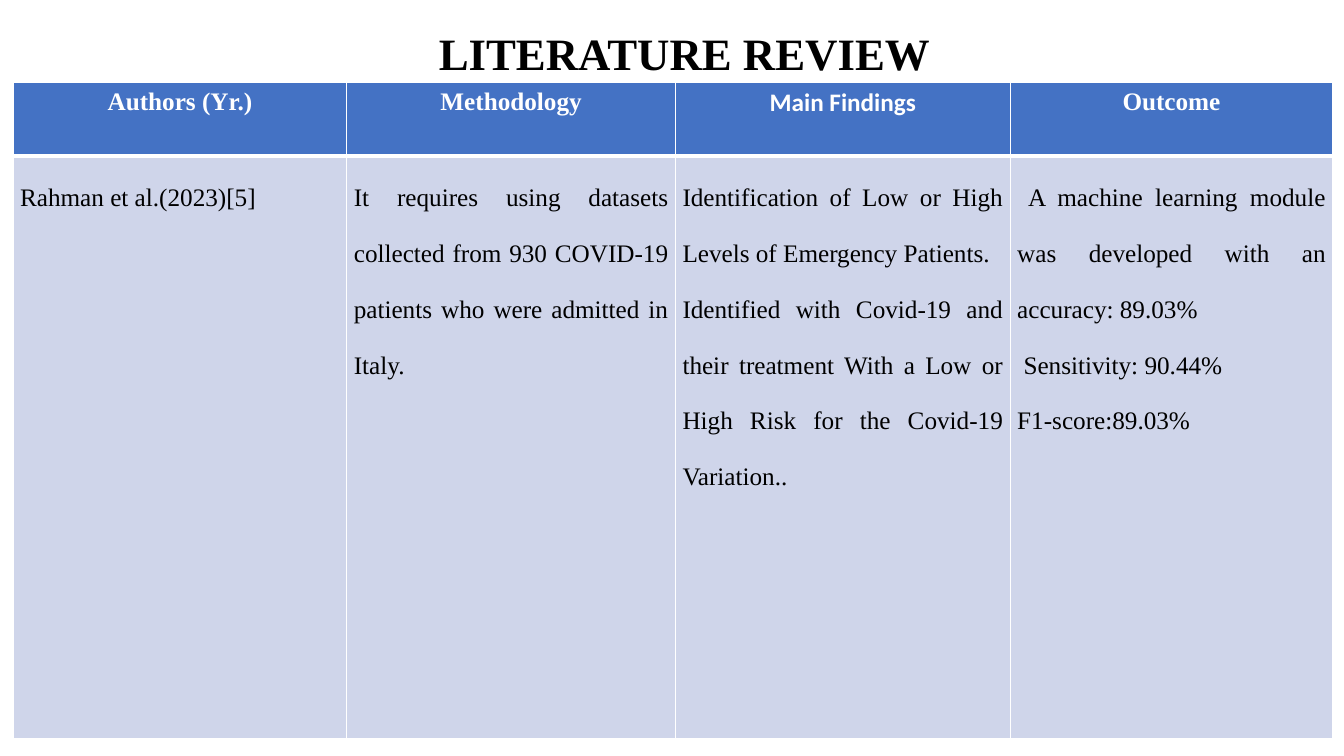
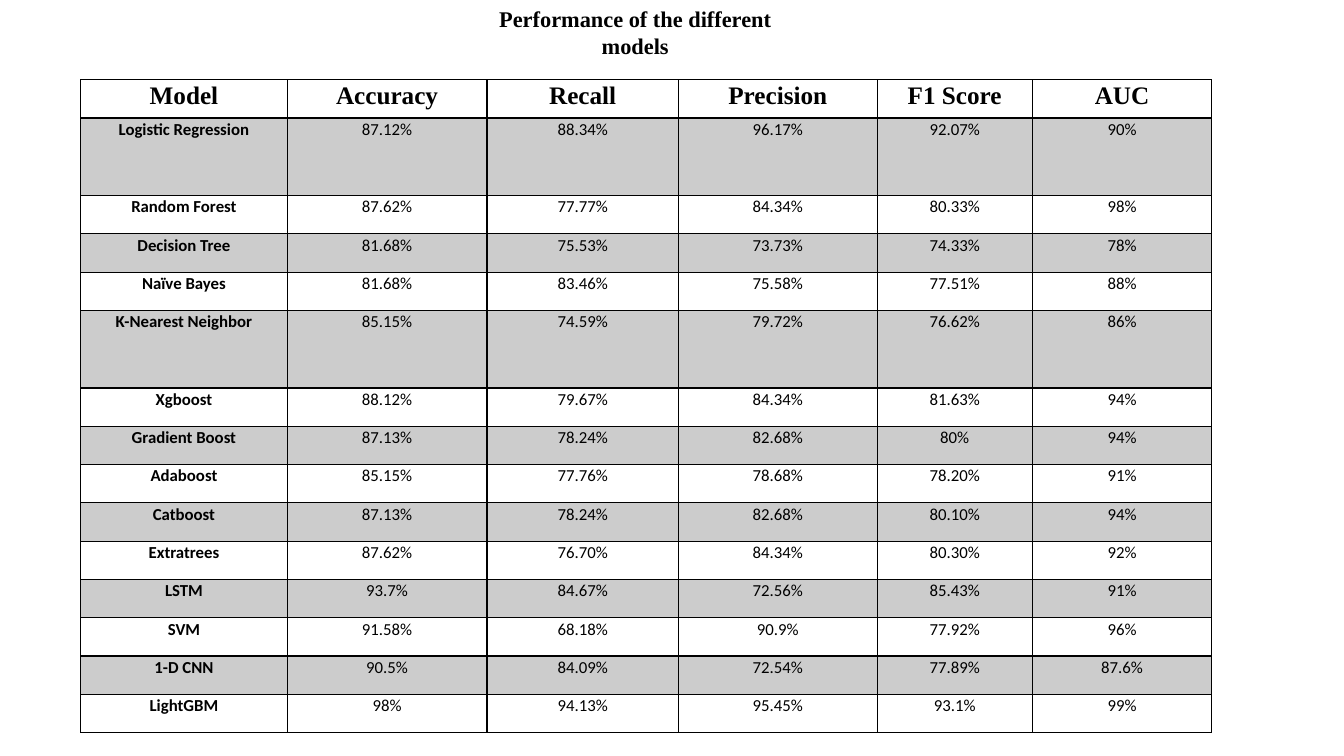
from lxml import etree
from pptx import Presentation
from pptx.dml.color import RGBColor
from pptx.enum.text import MSO_ANCHOR, MSO_AUTO_SIZE, PP_ALIGN
from pptx.oxml.ns import qn
from pptx.util import Inches, Pt

BLACK = RGBColor(0x00, 0x00, 0x00)
WHITE = RGBColor(0xFF, 0xFF, 0xFF)
BLUE = RGBColor(0x44, 0x72, 0xC4)
PALE_BLUE = RGBColor(0xCF, 0xD5, 0xEA)
SERIF = "Times New Roman"
SANS = "Calibri"
TITLE_ONLY = 5

NARROW_MARGINS = {
    "margin_left": Inches(0.07), "margin_top": 0,
    "margin_right": Inches(0.07), "margin_bottom": 0,
}

REVIEW_COLUMNS = [3.31, 3.26, 3.32, 3.2]
REVIEW_HEADINGS = ["Authors (Yr.)", "Methodology", "Main Findings", "Outcome"]
REVIEW_ENTRY = [
    "Rahman et al.(2023)[5]",
    "It requires using datasets collected from 930 COVID-19 patients "
    "who were admitted in Italy.",
    "Identification of Low or High Levels of Emergency Patients.\n"
    "Identified with Covid-19 and their treatment With a Low or High Risk "
    "for the Covid-19 Variation..",
    " A machine learning module was developed with an accuracy: 89.03%\n"
    " Sensitivity: 90.44%\n"
    "F1-score:89.03%",
]

SCORE_COLUMNS = [2.05, 1.98, 1.9, 1.97, 1.54, 1.78]
SCORE_HEADINGS = ["Model", "Accuracy", "Recall", "Precision", "F1 Score", "AUC"]
SCORES = [
    ("Logistic Regression", "87.12%", "88.34%", "96.17%", "92.07%", "90%"),
    ("Random Forest", "87.62%", "77.77%", "84.34%", "80.33%", "98%"),
    ("Decision Tree", "81.68%", "75.53%", "73.73%", "74.33%", "78%"),
    ("Naïve Bayes", "81.68%", "83.46%", "75.58%", "77.51%", "88%"),
    ("K-Nearest Neighbor", "85.15%", "74.59%", "79.72%", "76.62%", "86%"),
    ("Xgboost", "88.12%", "79.67%", "84.34%", "81.63%", "94%"),
    ("Gradient Boost", "87.13%", "78.24%", "82.68%", "80%", "94%"),
    ("Adaboost", "85.15%", "77.76%", "78.68%", "78.20%", "91%"),
    ("Catboost", "87.13%", "78.24%", "82.68%", "80.10%", "94%"),
    ("Extratrees", "87.62%", "76.70%", "84.34%", "80.30%", "92%"),
    ("LSTM", "93.7%", "84.67%", "72.56%", "85.43%", "91%"),
    ("SVM", "91.58%", "68.18%", "90.9%", "77.92%", "96%"),
    ("1-D CNN", "90.5%", "84.09%", "72.54%", "77.89%", "87.6%"),
    ("LightGBM", "98%", "94.13%", "95.45%", "93.1%", "99%"),
]
TALL_MODELS = {"Logistic Regression", "K-Nearest Neighbor"}


def set_attributes(target, values):
    for name, value in values.items():
        setattr(target, name, value)


def write_text(frame, text, font, color=BLACK, alignment=PP_ALIGN.CENTER,
               line_spacing=1.0):
    """Fill a text frame, one paragraph a line, in a single format."""
    frame.text = text
    for para in frame.paragraphs:
        set_attributes(para, {"alignment": alignment,
                              "line_spacing": line_spacing})
        for span in para.runs:
            set_attributes(span.font, font)
            span.font.color.rgb = color


def add_titled_slide(deck, title, bounds, size, line_spacing=1.0):
    slide = deck.slides.add_slide(deck.slide_layouts[TITLE_ONLY])
    box = slide.shapes.title
    box.left, box.top, box.width, box.height = map(Inches, bounds)
    set_attributes(box.text_frame, {
        "word_wrap": True,
        "auto_size": MSO_AUTO_SIZE.NONE,
        "vertical_anchor": MSO_ANCHOR.MIDDLE,
    })
    write_text(box.text_frame, title,
               {"name": SERIF, "size": Pt(size), "bold": True},
               line_spacing=line_spacing)
    return slide


def add_grid(slide, left, top, columns, rows):
    """Add a table from its column widths and row heights in inches."""
    frame = slide.shapes.add_table(
        len(rows), len(columns), Inches(left), Inches(top),
        Inches(sum(columns)), Inches(sum(rows)))
    table = frame.table
    table.horz_banding = False
    for column, width in zip(table.columns, columns):
        column.width = Inches(width)
    for row, height in zip(table.rows, rows):
        row.height = Inches(height)
    return table


def set_borders(cell, color, top=1, bottom=1):
    """Draw the four cell borders; call before the cell is filled."""
    properties = cell._tc.get_or_add_tcPr()
    for side, width in {"L": 1, "R": 1, "T": top, "B": bottom}.items():
        line = etree.SubElement(properties, qn(f"a:ln{side}"), w=str(Pt(width)))
        fill = etree.SubElement(line, qn("a:solidFill"))
        etree.SubElement(fill, qn("a:srgbClr"), val=str(color))


def fill_cell(cell, color, opacity=100):
    cell.fill.solid()
    cell.fill.fore_color.rgb = color
    if opacity < 100:
        tint = cell._tc.tcPr.find(f"{qn('a:solidFill')}/{qn('a:srgbClr')}")
        etree.SubElement(tint, qn("a:alpha"), val=str(opacity * 1000))


def add_review_slide(deck):
    slide = add_titled_slide(deck, "LITERATURE REVIEW",
                             (4.21, 0.16, 5.16, 0.79), 32, line_spacing=0.9)
    table = add_grid(slide, 0.13, 0.82, REVIEW_COLUMNS, [0.73, 5.78])
    for column, (heading, entry) in enumerate(zip(REVIEW_HEADINGS, REVIEW_ENTRY)):
        cell = table.cell(0, column)
        set_borders(cell, WHITE, bottom=3)
        fill_cell(cell, BLUE)
        name = SANS if heading == "Main Findings" else SERIF
        write_text(cell.text_frame, heading,
                   {"name": name, "size": Pt(18), "bold": True}, WHITE)

        cell = table.cell(1, column)
        set_borders(cell, WHITE, top=3)
        fill_cell(cell, PALE_BLUE)
        set_attributes(cell, NARROW_MARGINS)
        write_text(cell.text_frame, entry,
                   {"name": SERIF, "size": Pt(18), "bold": False},
                   alignment=PP_ALIGN.JUSTIFY, line_spacing=2.0)


def add_score_slide(deck):
    slide = add_titled_slide(deck, "Performance of the different models",
                             (4.7, 0, 3.2, 0.64), 16)
    heights = [0.77 if model in TALL_MODELS else 0.38 for model, *_ in SCORES]
    table = add_grid(slide, 0.8, 0.79, SCORE_COLUMNS, [0.38] + heights)
    for row, values in enumerate([SCORE_HEADINGS] + SCORES):
        heading = row == 0
        for column, value in enumerate(values):
            cell = table.cell(row, column)
            set_borders(cell, BLACK, top=2 if row == 1 else 1,
                        bottom=2 if heading else 1)
            if row % 2:
                fill_cell(cell, BLACK, opacity=20)
            else:
                cell.fill.background()
            set_attributes(cell, NARROW_MARGINS)
            font = {"name": SERIF if heading else SANS,
                    "size": Pt(18 if heading else 12),
                    "bold": heading or column == 0}
            write_text(cell.text_frame, value, font, line_spacing=1.07)


def main():
    deck = Presentation()
    deck.slide_width, deck.slide_height = Inches(13.33), Inches(7.5)
    add_review_slide(deck)
    add_score_slide(deck)
    deck.save("out.pptx")


if __name__ == "__main__":
    main()
